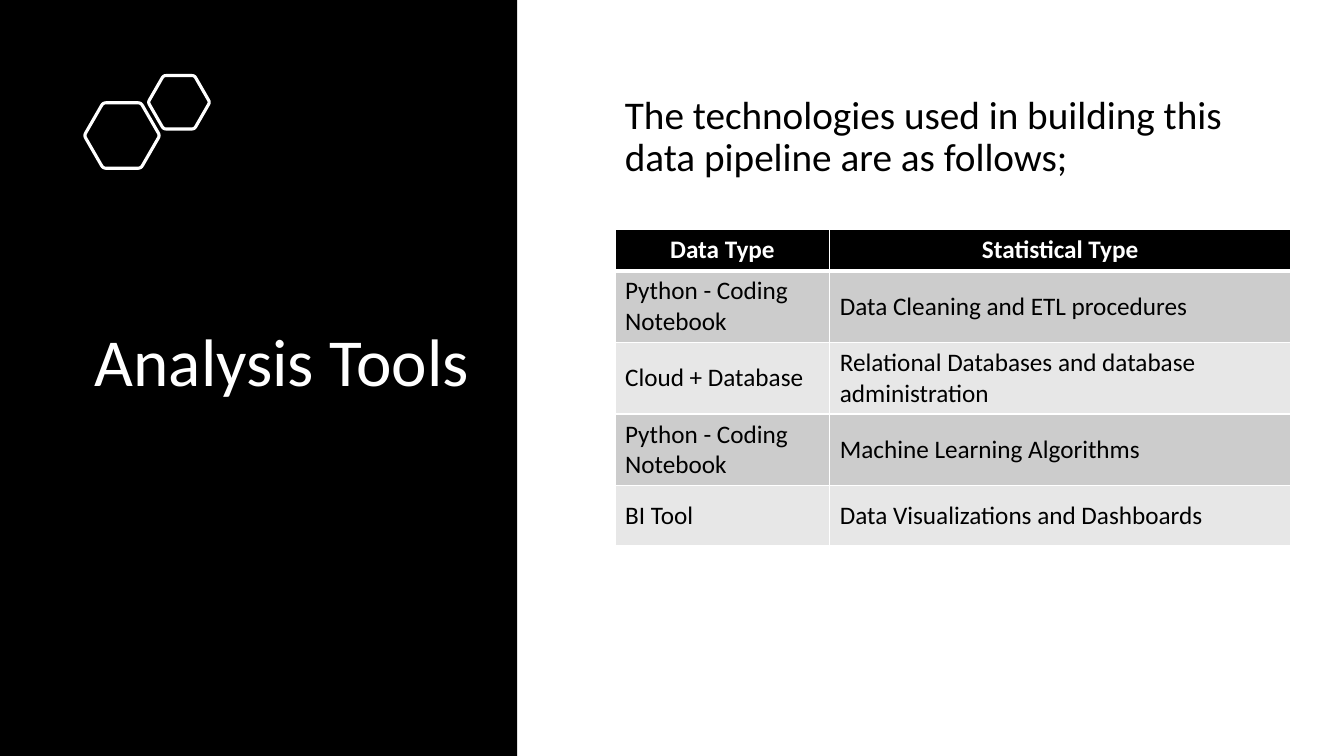
from math import cos, pi, sin

from lxml.etree import SubElement
from pptx import Presentation
from pptx.dml.color import RGBColor
from pptx.enum.shapes import MSO_SHAPE
from pptx.enum.text import MSO_ANCHOR, MSO_AUTO_SIZE, PP_ALIGN
from pptx.oxml.ns import qn
from pptx.util import Inches, Pt

BLACK = RGBColor(0x00, 0x00, 0x00)
WHITE = RGBColor(0xFF, 0xFF, 0xFF)
DARK_BAND = RGBColor(0xCC, 0xCC, 0xCC)
LIGHT_BAND = RGBColor(0xE7, 0xE7, 0xE7)

TOOLS = [
    ("Data Type", "Statistical Type"),
    ("Python - Coding Notebook", "Data Cleaning and ETL procedures"),
    ("Cloud + Database", "Relational Databases and database administration"),
    ("Python - Coding Notebook", "Machine Learning Algorithms"),
    ("BI Tool", "Data Visualizations and Dashboards"),
]


def rounded_hexagon(center_x, center_y, side, trim=0.08, steps=4):
    """Points of a flat-topped hexagon whose corners are quadratic curves."""
    corners = [(center_x + side * cos(i * pi / 3), center_y + side * sin(i * pi / 3))
               for i in range(6)]
    points = []
    for i, corner in enumerate(corners):
        before, after = corners[i - 1], corners[(i + 1) % 6]
        for step in range(steps + 1):
            t = step / steps
            toward_before, toward_after = trim * (1 - t) ** 2, trim * t ** 2
            points.append(tuple(
                Inches(c + toward_before * (b - c) + toward_after * (a - c))
                for b, c, a in zip(before, corner, after)))
    return points


class SlideBuilder:
    font = "Calibri"

    def __init__(self, slide):
        self.slide = slide

    def format_text(self, frame, size, color, bold=False, align=PP_ALIGN.LEFT):
        for paragraph in frame.paragraphs:
            paragraph.alignment = align
            for run in paragraph.runs:
                run.font.name = self.font
                run.font.size = Pt(size)
                run.font.bold = bold
                run.font.color.rgb = color

    def fill_frame(self, frame, text, size, color, space_before=0):
        frame.text = text
        frame.word_wrap = True
        frame.auto_size = MSO_AUTO_SIZE.NONE
        frame.vertical_anchor = MSO_ANCHOR.MIDDLE
        frame.paragraphs[0].line_spacing = 0.9
        frame.paragraphs[0].space_before = Pt(space_before)
        self.format_text(frame, size, color)

    def panel(self, left, top, width, height, color):
        panel = self.slide.shapes.add_shape(
            MSO_SHAPE.RECTANGLE, Inches(left), Inches(top), Inches(width), Inches(height))
        panel.shadow.inherit = False
        panel.fill.solid()
        panel.fill.fore_color.rgb = color
        panel.line.fill.background()

    def hexagon(self, center_x, center_y, side):
        first, *rest = rounded_hexagon(center_x, center_y, side)
        builder = self.slide.shapes.build_freeform(*first)
        builder.add_line_segments(rest, close=True)
        hexagon = builder.convert_to_shape()
        hexagon.shadow.inherit = False
        hexagon.fill.background()
        hexagon.line.color.rgb = WHITE
        hexagon.line.width = Pt(2.25)

    def title(self, text, left, top, width, height):
        title = self.slide.shapes.title
        title.left, title.top = Inches(left), Inches(top)
        title.width, title.height = Inches(width), Inches(height)
        self.fill_frame(title.text_frame, text, 48, WHITE)
        # Bring the title in front of the panel
        title._element.getparent().append(title._element)

    def body(self, text, left, top, width, height):
        body = self.slide.shapes.add_textbox(
            Inches(left), Inches(top), Inches(width), Inches(height))
        self.fill_frame(body.text_frame, text, 28, BLACK, space_before=10)

    def cell_borders(self, cell, top, bottom):
        properties = cell._tc.get_or_add_tcPr()
        for side, width in (("L", 1), ("R", 1), ("T", top), ("B", bottom)):
            border = SubElement(properties, qn(f"a:ln{side}"), w=str(Pt(width)))
            fill = SubElement(border, qn("a:solidFill"))
            SubElement(fill, qn("a:srgbClr"), val=str(WHITE))

    def table(self, rows, left, top, column_widths, row_heights):
        table = self.slide.shapes.add_table(
            len(rows), len(column_widths), Inches(left), Inches(top),
            Inches(sum(column_widths)), Inches(sum(row_heights))).table
        for column, width in zip(table.columns, column_widths):
            column.width = Inches(width)
        for r, (values, height) in enumerate(zip(rows, row_heights)):
            table.rows[r].height = Inches(height)
            header = r == 0
            band = BLACK if header else DARK_BAND if r % 2 else LIGHT_BAND
            for c, value in enumerate(values):
                cell = table.cell(r, c)
                cell.text_frame.text = value
                cell.vertical_anchor = MSO_ANCHOR.TOP if header else MSO_ANCHOR.MIDDLE
                self.format_text(cell.text_frame, 18, WHITE if header else BLACK, header,
                                 PP_ALIGN.CENTER if header else PP_ALIGN.LEFT)
                self.cell_borders(cell, top=3 if r == 1 else 1, bottom=3 if header else 1)
                cell.fill.solid()
                cell.fill.fore_color.rgb = band


def main():
    deck = Presentation()
    deck.slide_width, deck.slide_height = Inches(13.33), Inches(7.5)
    builder = SlideBuilder(deck.slides.add_slide(deck.slide_layouts[5]))

    # Dark side with hexagons and title
    builder.panel(0, 0, 5.13, 7.5, BLACK)
    builder.hexagon(1.21, 1.345, 0.375)
    builder.hexagon(1.775, 1.015, 0.306)
    builder.title("Analysis Tools", 0.84, 1.28, 3.92, 4.68)

    # Introduction and table of tools
    builder.body("The technologies used in building this data pipeline are as follows;",
                 6.1, 0.75, 6.66, 1.24)
    builder.table(TOOLS, 6.1, 2.28, [2.13, 4.57], [0.39] + [0.6] * 4)

    deck.save("out.pptx")


if __name__ == "__main__":
    main()
